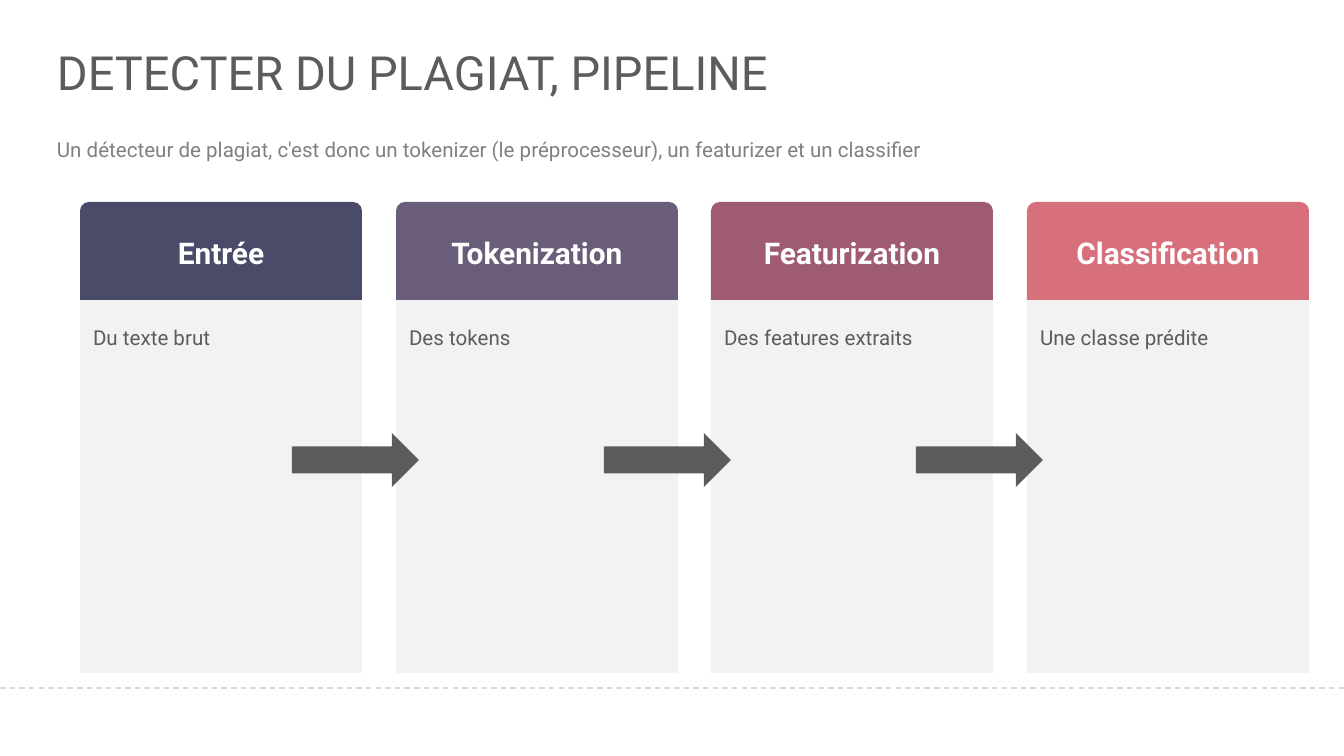
from dataclasses import dataclass
from typing import Any

import pptx
import pptx.dml.color
import pptx.enum.dml
import pptx.enum.shapes
import pptx.enum.text
import pptx.oxml.ns
import pptx.util
from lxml import etree

SCALE = 914400 / 134.4
FONT = "Roboto"
COLORS = {
    "navy": "494B69",
    "plum": "695D7A",
    "wine": "9F5B72",
    "coral": "D8707C",
    "panel": "F2F2F2",
    "dark": "5C5C5C",
    "gray": "808080",
    "rule": "D9D9D9",
    "white": "FFFFFF",
}
KINDS = pptx.enum.shapes.MSO_SHAPE
ALIGN = pptx.enum.text.PP_ALIGN
ANCHOR = pptx.enum.text.MSO_ANCHOR


@dataclass(frozen=True)
class Box:
    left: int
    top: int
    width: int
    height: int


@dataclass(frozen=True)
class Card:
    title: str
    body: str
    color: str


CARDS = [
    Card("Entrée", "Du texte brut", "navy"),
    Card("Tokenization", "Des tokens", "plum"),
    Card("Featurization", "Des features extraits", "wine"),
    Card("Classification", "Une classe prédite", "coral"),
]
FIRST, LAST = 80, 1027
STEP = (LAST - FIRST) / (len(CARDS) - 1)
ARROW = Box(292, 433, 127, 54)
ARROW_STEP = 312


def emu(px: float) -> pptx.util.Emu:
    return pptx.util.Emu(round(px * SCALE))


def place(box: Box) -> list[pptx.util.Emu]:
    return [emu(px) for px in (box.left, box.top, box.width, box.height)]


def rgb(name: str) -> pptx.dml.color.RGBColor:
    return pptx.dml.color.RGBColor.from_string(COLORS[name])


def write(shape: Any, text: str, *, size: float, color: str, bold: bool = False,
          align: Any = ALIGN.LEFT, anchor: Any = ANCHOR.MIDDLE,
          inset: tuple[int, int, int, int] = (0, 0, 0, 0),
          spacing: float = 1.0) -> None:
    """Fill a shape with one paragraph; inset is left, top, right, bottom."""
    frame = shape.text_frame
    frame.word_wrap = True
    frame.vertical_anchor = anchor
    (frame.margin_left, frame.margin_top,
     frame.margin_right, frame.margin_bottom) = map(emu, inset)
    para = frame.paragraphs[0]
    para.alignment = align
    para.line_spacing = spacing
    run = para.add_run()
    run.text = text
    run.font.name = FONT
    run.font.size = pptx.util.Pt(size)
    run.font.bold = bold
    run.font.color.rgb = rgb(color)


def draw_shape(shapes: Any, kind: Any, box: Box, color: str) -> Any:
    shape = shapes.add_shape(kind, *place(box))
    shape.shadow.inherit = False
    shape.fill.solid()
    shape.fill.fore_color.rgb = rgb(color)
    shape.line.fill.background()
    return shape


def draw_card(shapes: Any, card: Card, left: int) -> None:
    group = shapes.add_group_shape().shapes
    head = draw_shape(group, KINDS.ROUND_2_SAME_RECTANGLE,
                      Box(left, 202, 282, 98), card.color)
    head.adjustments[0] = 0.09
    head.adjustments[1] = 0
    write(head, card.title, size=16, color="white", bold=True,
          align=ALIGN.CENTER, inset=(13, 7, 13, 7))
    body = draw_shape(group, KINDS.RECTANGLE, Box(left, 300, 282, 373), "panel")
    write(body, card.body, size=11, color="dark", anchor=ANCHOR.TOP,
          inset=(13, 13, 13, 7), spacing=1.5)


def draw_rule(shapes: Any, top: int, width: int) -> None:
    rule = shapes.add_connector(pptx.enum.shapes.MSO_CONNECTOR.STRAIGHT,
                                emu(0), emu(top), emu(width), emu(top))
    rule.line.color.rgb = rgb("rule")
    rule.line.width = pptx.util.Pt(0.75)
    rule.line.dash_style = pptx.enum.dml.MSO_LINE.DASH
    etree.SubElement(rule._element.spPr, pptx.oxml.ns.qn("a:effectLst"))


def main() -> None:
    deck = pptx.Presentation()
    deck.slide_width, deck.slide_height = emu(1344), emu(756)
    shapes = deck.slides.add_slide(deck.slide_layouts[6]).shapes

    draw_rule(shapes, 688, 1344)
    write(shapes.add_textbox(*place(Box(57, 122, 1251, 55))),
          "Un détecteur de plagiat, c'est donc un tokenizer (le préprocesseur), "
          "un featurizer et un classifier", size=11, color="gray")
    write(shapes.add_textbox(*place(Box(57, 42, 1230, 60))),
          "DETECTER DU PLAGIAT, PIPELINE", size=25.2, color="dark")

    for i, card in enumerate(CARDS):
        draw_card(shapes, card, round(FIRST + i * STEP))
    for i in range(len(CARDS) - 1):
        left = ARROW.left + i * ARROW_STEP
        draw_shape(shapes, KINDS.RIGHT_ARROW,
                   Box(left, ARROW.top, ARROW.width, ARROW.height), "dark")

    deck.save("out.pptx")


if __name__ == "__main__":
    main()
